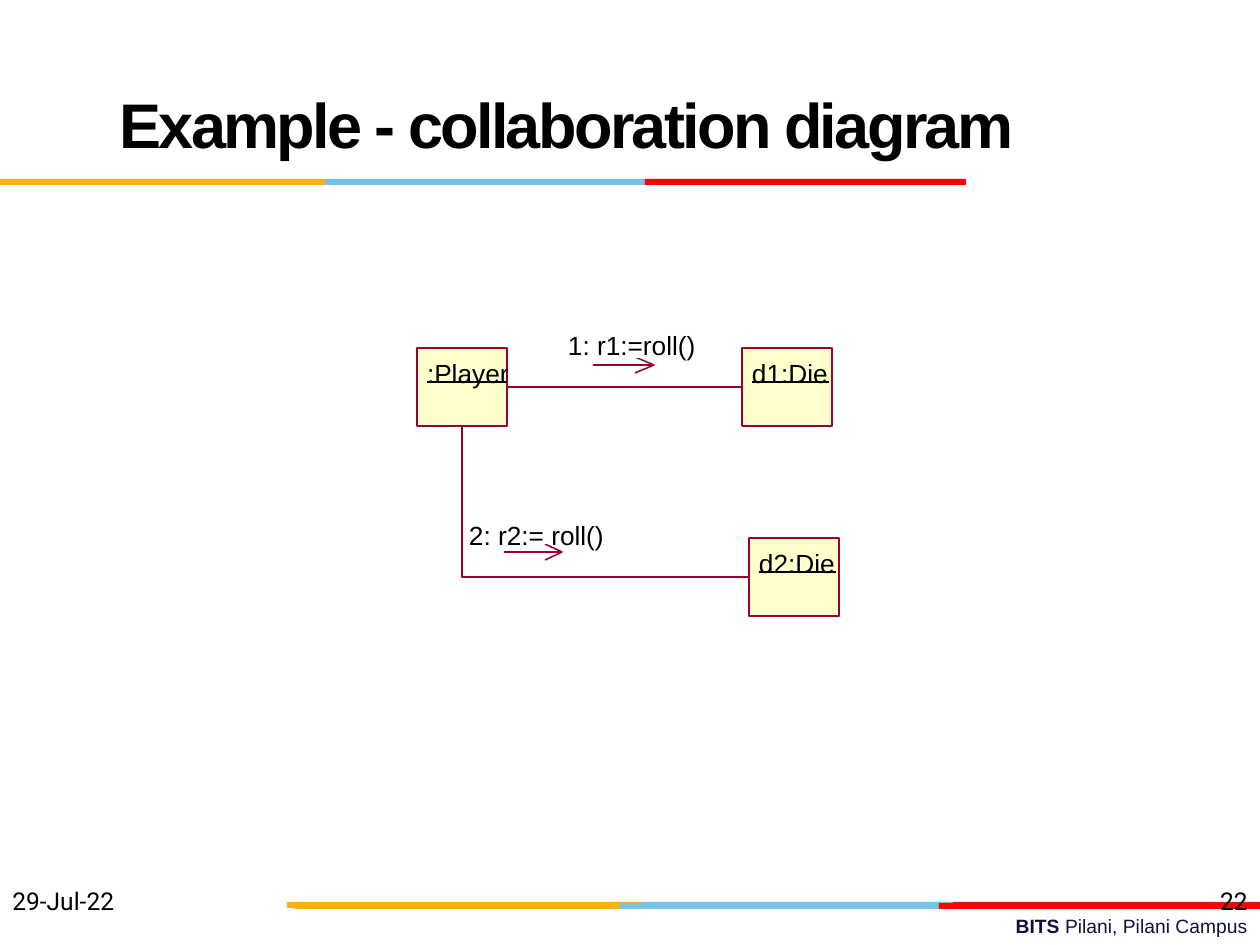
"""Build a slide with a collaboration diagram of a player and two dice."""
from lxml import etree
from pptx import Presentation
from pptx import util as u
from pptx.dml.color import RGBColor
from pptx.enum import shapes, text
from pptx.oxml.ns import qn

PX = u.Inches(1) / 126
COLOURS = {
    "ink": "000000", "navy": "101141", "wine": "990033", "cream": "FFFFCC",
    "white": "FFFFFF", "amber": "FCB017", "sky": "76C2E5", "red": "FF0000",
    "brick": "E31C24",
}
colour = {name: RGBColor.from_string(value) for name, value in COLOURS.items()}

deck = Presentation()
deck.slide_width, deck.slide_height = u.Inches(10), u.Inches(7.5)
page = deck.slides.add_slide(deck.slide_layouts[6])


def add_rectangle(place, fill, line=None):
    box = page.shapes.add_shape(shapes.MSO_SHAPE.RECTANGLE, *(int(v * PX) for v in place))
    box.shadow.inherit = False
    box.fill.solid()
    box.fill.fore_color.rgb = colour[fill]
    if line:
        box.line.color.rgb = colour[line]
        box.line.width = u.Pt(0.88)
    else:
        box.line.fill.background()
    return box


def add_text(place, spans, size, font="Arial", ink="ink", align="LEFT", anchor="TOP", tight=False):
    box = page.shapes.add_textbox(*(int(v * PX) for v in place))
    frame = box.text_frame
    frame.word_wrap = not tight
    frame.vertical_anchor = text.MSO_ANCHOR[anchor]
    if tight:
        frame.margin_left = frame.margin_right = frame.margin_top = frame.margin_bottom = 0
    para = frame.paragraphs[0]
    para.alignment = text.PP_ALIGN[align]
    for words, bold in spans:
        span = para.add_run()
        span.text = words
        span.font.name, span.font.size, span.font.bold = font, u.Pt(size), bold
        span.font.color.rgb = colour[ink]
    return box


add_text((451, 908, 809, 37), [("BITS ", True), ("Pilani, Pilani Campus", False)], 11,
         ink="navy", align="RIGHT")

for left, top, width, fill in [
    (638, 902, 321, "sky"), (953, 902, 307, "brick"), (287, 902, 355, "amber"),
    (620, 903, 321, "sky"), (294, 903, 326, "amber"), (939, 903, 321, "red"),
    (325, 179, 321, "sky"), (0, 179, 325, "amber"), (645, 179, 321, "red"),
]:
    add_rectangle((left, top, width, 6), fill)

add_text((0, 876, 294, 50), [("29-Jul-22", False)], 14, "Roboto", anchor="MIDDLE")
title = add_text((107, 71, 1074, 105), [("Example - collaboration diagram", True)], 36,
                 anchor="MIDDLE")
title.text_frame.paragraphs[0].runs[0].font._element.set("spc", "-150")
add_text((966, 876, 294, 50), [("22", False)], 14, "Roboto", align="RIGHT", anchor="MIDDLE")

lines = []
objects = {}
for name, left, top, underline in [
    (":Player", 417, 348, 80), ("d1:Die", 742, 348, 77), ("d2:Die", 749, 538, 77),
]:
    objects[name] = add_rectangle((left, top, 90, 78), "cream", "wine")
    add_text((left + 10, top + 9, underline + 4, 33), [(name, False)], 15, tight=True)
    lines.append(((left + 10, top + 34, left + 10 + underline, top + 34), "ink"))

lines.append(((507, 387, 742, 387), "wine"))
outlines = [[(462, 426), (462, 577), (749, 577)]]
messages = [
    ("1: r1:=roll()", (593, 654, 635, 365), (567, 328, 139, 30), (568, 329, 149, 33)),
    ("2: r2:= roll()", (504, 562, 545, 552), (472, 514, 146, 30), (469, 519, 158, 33)),
]
for words, (tail, tip, barb, middle), backing, label in messages:
    outlines.append([(tail, middle), (tip, middle), (barb, middle + 8)])
    lines.append(((tip, middle, barb, middle - 8), "wine"))

for points in outlines:
    builder = page.shapes.build_freeform(*points[0], scale=PX)
    builder.add_line_segments(points[1:], close=False)
    outline = builder.convert_to_shape()
    outline.shadow.inherit = False
    outline.fill.background()
    outline.line.color.rgb = colour["wine"]
    outline.line.width = u.Pt(0.88)

for ends, ink in lines:
    line = page.shapes.add_connector(shapes.MSO_CONNECTOR.STRAIGHT, *(int(v * PX) for v in ends))
    line.line.color.rgb = colour[ink]
    line.line.width = u.Pt(0.88)
    etree.SubElement(line._element.spPr, qn("a:effectLst"))
    if ends == (507, 387, 742, 387):
        line.begin_connect(objects[":Player"], 3)
        line.end_connect(objects["d1:Die"], 1)

for words, arrow, backing, label in messages:
    add_rectangle(backing, "white")
    add_text(label, [(words, False)], 15, tight=True)

deck.save("out.pptx")
